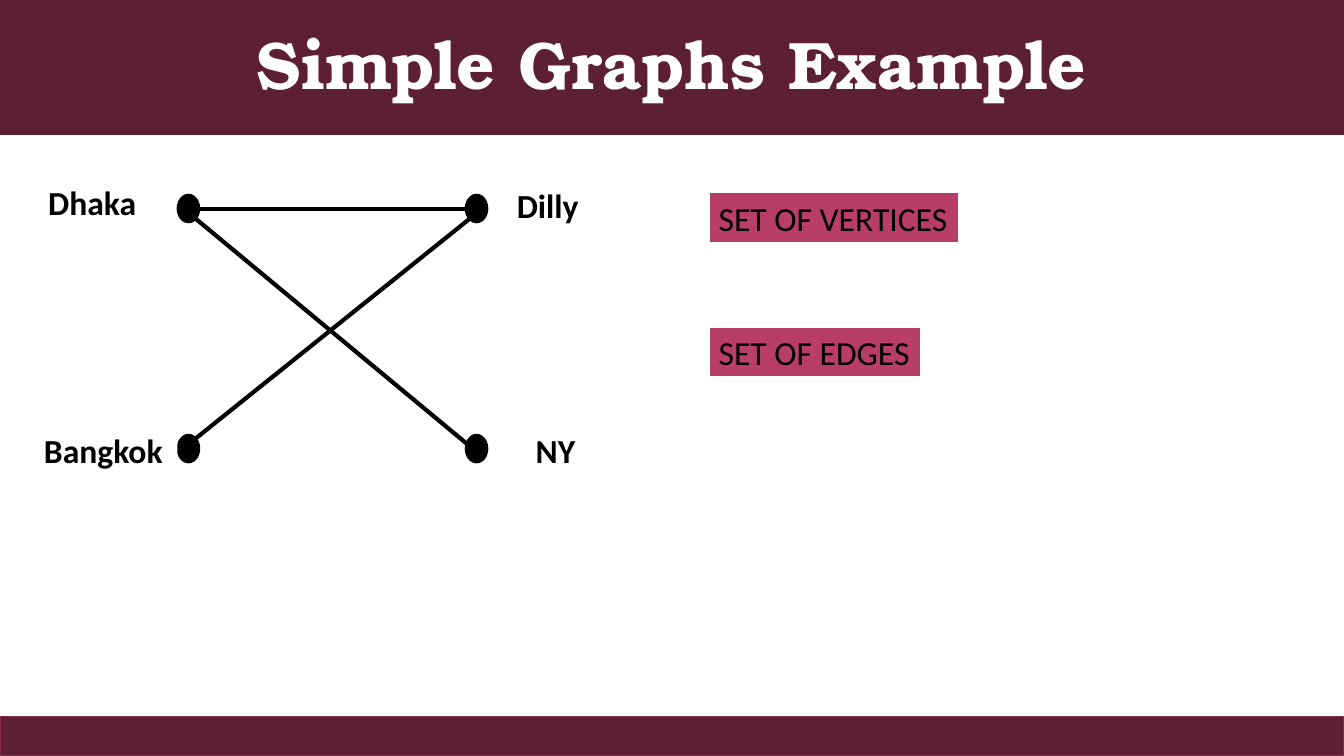
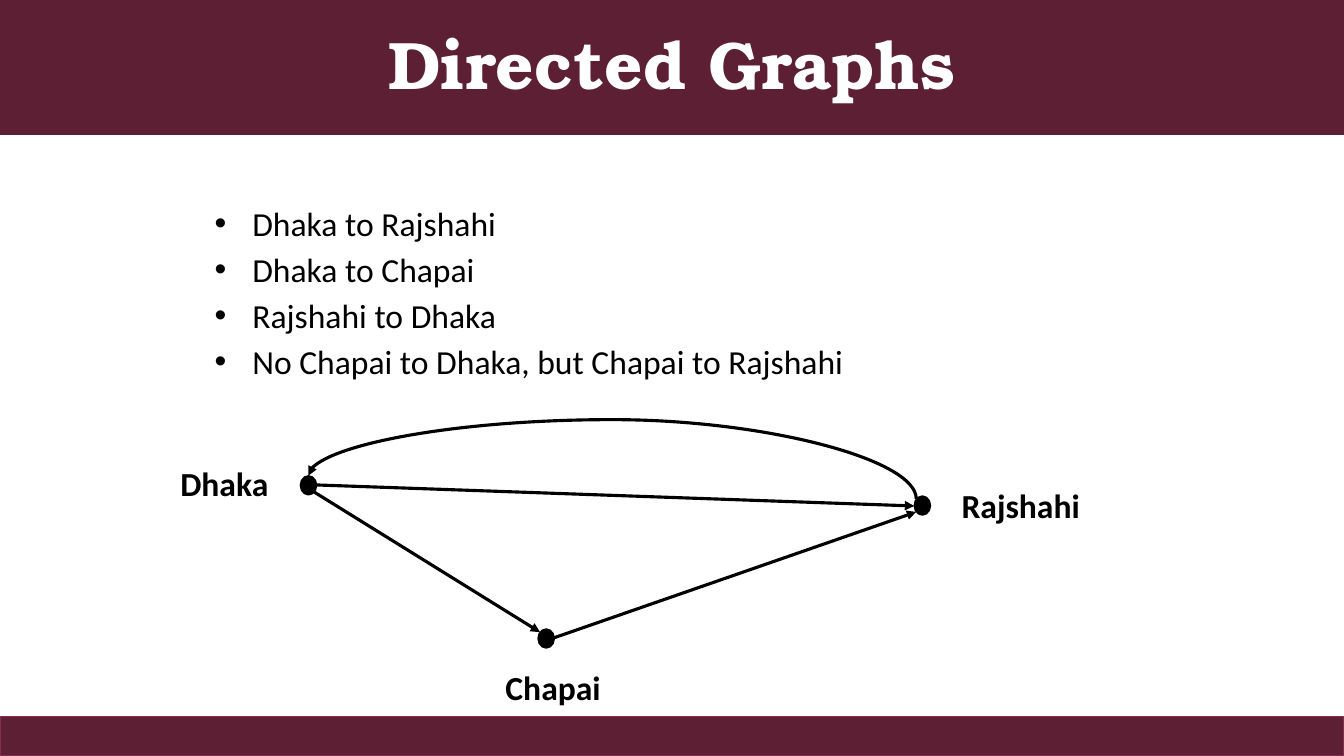
"""Build two slides on simple and directed graphs."""
from lxml.etree import SubElement
from pptx import Presentation
from pptx.dml.color import RGBColor
from pptx.enum.shapes import MSO_CONNECTOR, MSO_SHAPE
from pptx.enum.text import MSO_ANCHOR, MSO_AUTO_SIZE, PP_ALIGN
from pptx.oxml.ns import qn
from pptx.util import Cm, Pt

WINE = RGBColor(0x5C, 0x1F, 0x34)
WINE_EDGE = RGBColor(0x88, 0x2D, 0x4D)
ROSE = RGBColor(0xB8, 0x3D, 0x68)
BLACK = RGBColor(0, 0, 0)
INK = RGBColor(1, 0, 0)
WHITE = RGBColor(255, 255, 255)

WIDTH, HEIGHT = 33.87, 19.05
TITLE_HEIGHT, FOOTER_HEIGHT = 3.4, 0.99
TITLE_FONT = {"name": "TeX Gyre Bonum", "size": Pt(48), "bold": True}
BODY_FONT = {"name": "Calibri", "size": Pt(24), "bold": False}
LABEL_FONT = {**BODY_FONT, "bold": True}
BULLET_INDENT = Cm(0.95)

SIMPLE = {
    "title": "Simple Graphs Example",
    "node_size": (0.56, 0.71),
    "nodes": [(left, top) for top in (4.9, 10.95) for left in (4.47, 11.73)],
    "labels": [
        ("Dhaka", (0.46, 4.42, 3.73, 1.32)),
        ("Dilly", (12.6, 4.52, 2.41, 1.32)),
        ("Bangkok", (0.74, 10.69, 3.73, 1.32)),
        ("NY", (12.5, 10.69, 3, 1.32)),
    ],
    "edges": [
        (5, 5.26, 11.73, 5.26),
        (4.93, 11.05, 11.84, 5.51),
        (4.93, 5.51, 12.22, 11.56),
    ],
    "edge_width": 3,
    "arrows": False,
}
SETS = [
    ("SET OF VERTICES", (17.86, 4.85, 6.32, 1.27)),
    ("SET OF EDGES", (17.86, 8.23, 5.36, 1.27)),
]
DIRECTED = {
    "title": "Directed Graphs",
    "node_size": (0.41, 0.48),
    "nodes": [(7.57, 11.99), (13.56, 15.85), (23.04, 12.5)],
    "labels": [
        ("Dhaka", (4.17, 11.68, 2.97, 0.99)),
        ("Chapai", (12.01, 16.81, 3.86, 0.99)),
        ("Rajshahi", (23.77, 12.22, 3.91, 0.99)),
    ],
    "edges": [
        (7.98, 12.22, 23.04, 12.75),
        (7.92, 12.4, 13.61, 15.93),
        (13.94, 16.08, 23.09, 12.9),
    ],
    "edge_width": 2.25,
    "arrows": True,
}
RETURN_EDGE = (15.14, 19.94, 15.72, 4.62)
QUARTER_TURN_LEFT = "16200000"
RETURN_BEND = "val 343900"
ROUTES = [
    "Dhaka to Rajshahi",
    "Dhaka to Chapai",
    "Rajshahi to Dhaka",
    "No Chapai to Dhaka, but Chapai to Rajshahi",
]
ROUTES_PLACE = (5.16, 4.85, 24.54, 4.93)


def lengths(values):
    return [Cm(value) for value in values]


def apply(target, values):
    for name, value in values.items():
        setattr(target, name, value)


def format_paragraph(paragraph, font, color, **layout):
    apply(paragraph, layout)
    apply(paragraph.font, font)
    paragraph.font.color.rgb = color


def add_box(page, kind, place, fill, line=None, line_width=1):
    box = page.shapes.add_shape(kind, *lengths(place))
    box.shadow.inherit = False
    box.fill.solid()
    box.fill.fore_color.rgb = fill
    if line is None:
        box.line.fill.background()
    else:
        box.line.color.rgb = line
        box.line.width = Pt(line_width)
    return box


def add_edge(page, ends, width, arrow, kind=MSO_CONNECTOR.STRAIGHT):
    edge = page.shapes.add_connector(kind, *lengths(ends))
    edge.line.color.rgb = BLACK
    edge.line.width = Pt(width)
    if arrow:
        SubElement(edge.line._get_or_add_ln(), qn("a:tailEnd"), type="triangle")
    SubElement(edge._element.spPr, qn("a:effectLst"))
    return edge


def add_page(deck, title):
    page = deck.slides.add_slide(deck.slide_layouts[5])
    band = page.shapes.title
    place = lengths((0, 0, WIDTH, TITLE_HEIGHT))
    apply(band, dict(zip(("left", "top", "width", "height"), place)))
    band.fill.solid()
    band.fill.fore_color.rgb = WINE
    frame = band.text_frame
    frame.text = title
    apply(frame, {"auto_size": MSO_AUTO_SIZE.NONE, "vertical_anchor": MSO_ANCHOR.MIDDLE})
    format_paragraph(frame.paragraphs[0], TITLE_FONT, WHITE,
                     alignment=PP_ALIGN.CENTER, line_spacing=0.9)
    footer = (0, HEIGHT - FOOTER_HEIGHT, WIDTH, FOOTER_HEIGHT)
    add_box(page, MSO_SHAPE.RECTANGLE, footer, WINE, WINE_EDGE)
    return page


def add_graph_page(deck, graph):
    page = add_page(deck, graph["title"])
    for corner in graph["nodes"]:
        add_box(page, MSO_SHAPE.FLOWCHART_CONNECTOR, corner + graph["node_size"], BLACK, BLACK)
    for ends in graph["edges"]:
        add_edge(page, ends, graph["edge_width"], graph["arrows"])
    for text, place in graph["labels"]:
        frame = add_box(page, MSO_SHAPE.ROUNDED_RECTANGLE, place, WHITE).text_frame
        frame.text = text
        frame.vertical_anchor = MSO_ANCHOR.MIDDLE
        format_paragraph(frame.paragraphs[0], LABEL_FONT, BLACK, alignment=PP_ALIGN.CENTER)
    return page


def add_sets(page):
    for text, place in SETS:
        frame = add_box(page, MSO_SHAPE.RECTANGLE, place, ROSE, WHITE, 1.5).text_frame
        frame.text = text
        apply(frame, {"word_wrap": False, "vertical_anchor": MSO_ANCHOR.TOP})
        format_paragraph(frame.paragraphs[0], BODY_FONT, INK, alignment=PP_ALIGN.LEFT)


def add_return_edge(page):
    edge = add_edge(page, RETURN_EDGE, DIRECTED["edge_width"], True, MSO_CONNECTOR.CURVE)
    properties = edge._element.spPr
    properties.find(qn("a:xfrm")).set("rot", QUARTER_TURN_LEFT)
    adjustments = properties.find(qn("a:prstGeom")).find(qn("a:avLst"))
    SubElement(adjustments, qn("a:gd"), name="adj1", fmla=RETURN_BEND)


def add_routes(page):
    frame = page.shapes.add_textbox(*lengths(ROUTES_PLACE)).text_frame
    frame.word_wrap = True
    frame.text = "\n".join(ROUTES)
    for paragraph in frame.paragraphs:
        properties = paragraph._p.get_or_add_pPr()
        properties.set("marL", str(BULLET_INDENT))
        properties.set("indent", str(-BULLET_INDENT))
        SubElement(properties, qn("a:buFont"), typeface="Arial")
        SubElement(properties, qn("a:buChar"), char="•")
        format_paragraph(paragraph, BODY_FONT, BLACK, line_spacing=1.14)


def main():
    deck = Presentation()
    apply(deck, {"slide_width": Cm(WIDTH), "slide_height": Cm(HEIGHT)})
    add_sets(add_graph_page(deck, SIMPLE))
    directed = add_graph_page(deck, DIRECTED)
    add_return_edge(directed)
    add_routes(directed)
    deck.save("out.pptx")


if __name__ == "__main__":
    main()
